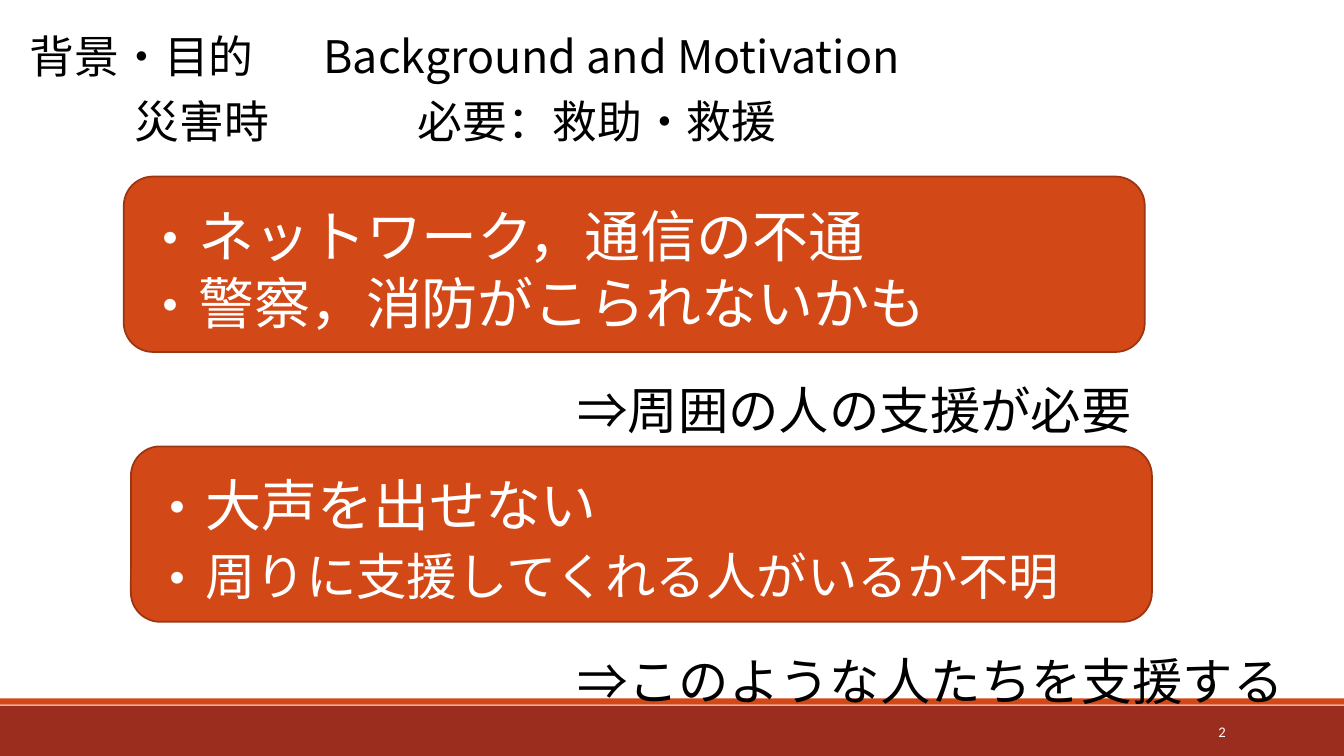
from lxml import etree
from pptx import Presentation
from pptx.dml.color import RGBColor
from pptx.enum.shapes import MSO_SHAPE
from pptx.enum.text import MSO_ANCHOR, PP_ALIGN
from pptx.oxml.ns import qn
from pptx.util import Cm, Pt

RECTANGLE = MSO_SHAPE.RECTANGLE
ROUNDED = MSO_SHAPE.ROUNDED_RECTANGLE
MIDDLE = MSO_ANCHOR.MIDDLE
LEFT, CENTER, RIGHT = PP_ALIGN.LEFT, PP_ALIGN.CENTER, PP_ALIGN.RIGHT

JAPANESE_FONT, NUMBER_FONT = "Noto Sans CJK JP", "Calibri"
BLACK, WHITE = "000000", "FFFFFF"
ORANGE, RUST, OUTLINE = "D34817", "9B2D1F", "9C3511"
WIDTH, HEIGHT = 33.87, 19.05
LINE_HEIGHT = 1.2
BULLET_SIZE = 40


def color(value):
    """Turn a hex string into a colour."""
    return RGBColor.from_string(value)


class SlideBuilder:
    """Holds the style and the current slide."""

    def __init__(self, slide):
        """Start drawing on the given slide."""
        self.slide = slide

    def style(self, paragraph, size, ink, font_name=JAPANESE_FONT, align=LEFT):
        """Set the font and alignment of a paragraph."""
        paragraph.alignment = align
        paragraph.font.name = font_name
        paragraph.font.size = Pt(size)
        paragraph.font.color.rgb = color(ink)
        defaults = paragraph._p.pPr.find(qn("a:defRPr"))
        etree.SubElement(defaults, qn("a:ea"), typeface=font_name)

    def add_property(self, paragraph, tag, **attributes):
        """Add a paragraph property in front of the font defaults."""
        properties = paragraph._p.pPr
        element = etree.Element(qn(tag), **attributes)
        properties.find(qn("a:defRPr")).addprevious(element)
        return element

    def bar(self, top, height, fill):
        """Draw a full-width bar."""
        return self.shape(RECTANGLE, 0, top, WIDTH, height, fill)

    def shape(self, kind, left, top, width, height, fill):
        """Draw a filled shape without line or shadow."""
        shape = self.slide.shapes.add_shape(
            kind, Cm(left), Cm(top), Cm(width), Cm(height))
        shape.shadow.inherit = False
        shape.fill.solid()
        shape.fill.fore_color.rgb = color(fill)
        shape.line.fill.background()
        return shape

    def text(self, content, left, top, width, height, size, align=CENTER, wrap=False):
        """Write one line of text and return its paragraph."""
        box = self.slide.shapes.add_textbox(
            Cm(left), Cm(top), Cm(width), Cm(height))
        frame = box.text_frame
        frame.word_wrap = wrap
        frame.margin_top = Cm(0.23)
        paragraph = frame.paragraphs[0]
        paragraph.text = content
        self.style(paragraph, size, BLACK, align=align)
        paragraph.line_spacing = Pt(size * LINE_HEIGHT)
        return paragraph

    def title(self, japanese, english):
        """Write the two-language title, split by a tab stop."""
        paragraph = self.text(f"{japanese}\t{english}", 0.5, 0.5, 30, 1.62, 32,
                              align=LEFT, wrap=True)
        stops = self.add_property(paragraph, "a:tabLst")
        etree.SubElement(stops, qn("a:tab"), pos=str(Cm(7.4)), algn="l")

    def problem_box(self, left, top, items):
        """Draw a rounded box with a bulleted list of (text, size) items."""
        shape = self.shape(ROUNDED, left, top, 25.73, 4.42, ORANGE)
        shape.line.color.rgb = color(OUTLINE)
        shape.line.width = Pt(1.25)
        frame = shape.text_frame
        frame.vertical_anchor = MIDDLE
        frame.margin_top = Cm(0.33)
        for index, (content, size) in enumerate(items):
            paragraph = frame.add_paragraph() if index else frame.paragraphs[0]
            paragraph.text = content
            self.style(paragraph, size, WHITE)
            paragraph.line_spacing = Pt(BULLET_SIZE * LINE_HEIGHT)
            indent = Pt(BULLET_SIZE)
            paragraph._p.pPr.set("marL", str(indent))
            paragraph._p.pPr.set("indent", str(-indent))
            self.add_property(paragraph, "a:buSzPct",
                              val=str(round(BULLET_SIZE / size * 100) * 1000))
            self.add_property(paragraph, "a:buFont", typeface=JAPANESE_FONT)
            self.add_property(paragraph, "a:buChar", char="・")

    def page_number(self, number):
        """Write the page number on the footer bar."""
        box = self.slide.shapes.add_textbox(
            Cm(27.51), Cm(17.93), Cm(3.63), Cm(1.02))
        frame = box.text_frame
        frame.word_wrap = True
        frame.vertical_anchor = MIDDLE
        frame.text = number
        self.style(frame.paragraphs[0], 10.5, WHITE, NUMBER_FONT, RIGHT)


presentation = Presentation()
presentation.slide_width, presentation.slide_height = Cm(WIDTH), Cm(HEIGHT)
builder = SlideBuilder(presentation.slides.add_slide(presentation.slide_layouts[6]))

builder.bar(17.78, 1.27, RUST)
builder.bar(17.6, 0.16, ORANGE)
builder.page_number("2")

builder.title("背景・目的", "Background and Motivation")
builder.text("災害時", 3.12, 2.13, 3.94, 1.62, 32)
builder.text("必要：救助・救援", 10.24, 2.13, 9.63, 1.62, 32)

builder.problem_box(3.12, 4.45, [
    ("ネットワーク，通信の不通", 40),
    ("警察，消防がこられないかも", 40),
])
builder.text("⇒周囲の人の支援が必要", 14.22, 9.32, 14.63, 1.8, 36)

builder.problem_box(3.3, 11.25, [
    ("大声を出せない", 40),
    ("周りに支援してくれる人がいるか不明", 36),
])
builder.text("⇒このような人たちを支援する", 14.22, 16.15, 18.47, 1.8, 36)

presentation.save("out.pptx")
